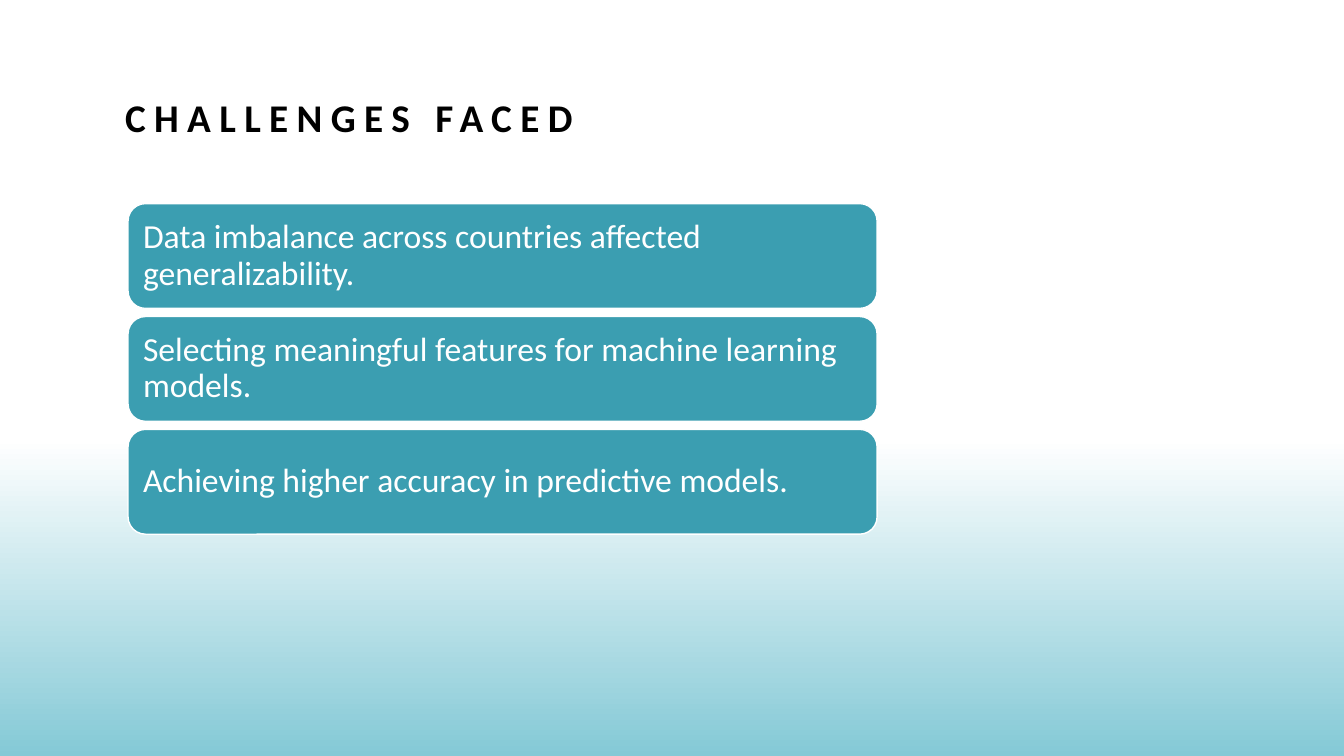
from pptx import Presentation
from pptx.dml.color import RGBColor
from pptx.enum.shapes import MSO_SHAPE
from pptx.enum.text import MSO_ANCHOR, MSO_AUTO_SIZE, PP_ALIGN
from pptx.util import Inches, Pt

RECTANGLE = MSO_SHAPE.RECTANGLE
ROUNDED = MSO_SHAPE.ROUNDED_RECTANGLE
MIDDLE, BOTTOM = MSO_ANCHOR.MIDDLE, MSO_ANCHOR.BOTTOM
LEFT = PP_ALIGN.LEFT
NO_AUTOFIT = MSO_AUTO_SIZE.NONE

BLACK = RGBColor(0x00, 0x00, 0x00)
WHITE = RGBColor(0xFF, 0xFF, 0xFF)
TEAL = RGBColor(0x3B, 0x9E, 0xB1)
LIGHT_TEAL = RGBColor(0x84, 0xC9, 0xD6)

CHALLENGES = [
    "Data imbalance across countries affected generalizability.",
    "Selecting meaningful features for machine learning models.",
    "Achieving higher accuracy in predictive models.",
]
CARD_TOP, CARD_PITCH = 2.02, 1.12


class SlideBuilder:
    font_name = "Calibri"

    def __init__(self, slide):
        self.slide = slide

    def add_text(self, shape, text, size, color, anchor, line_spacing, bold=False):
        frame = shape.text_frame
        frame.word_wrap = True
        frame.auto_size = NO_AUTOFIT
        frame.vertical_anchor = anchor
        paragraph = frame.paragraphs[0]
        paragraph.alignment = LEFT
        paragraph.line_spacing = line_spacing
        run = paragraph.add_run()
        run.text = text
        run.font.name = self.font_name
        run.font.size = Pt(size)
        run.font.bold = bold
        run.font.color.rgb = color
        return run

    def add_shape(self, kind, left, top, width, height):
        shape = self.slide.shapes.add_shape(
            kind, Inches(left), Inches(top), Inches(width), Inches(height))
        shape.shadow.inherit = False
        return shape

    def add_fade(self, left, top, width, height):
        band = self.add_shape(RECTANGLE, left, top, width, height)
        band.line.fill.background()
        band.fill.gradient()
        band.fill.gradient_angle = 270
        stops = band.fill.gradient_stops
        for stop, color, position in zip(stops, (WHITE, LIGHT_TEAL), (0.14, 1)):
            stop.color.rgb = color
            stop.position = position

    def add_title(self, text, left, top, width, height):
        title = self.slide.shapes.title
        title.left, title.top = Inches(left), Inches(top)
        title.width, title.height = Inches(width), Inches(height)
        run = self.add_text(title, text, 28, BLACK, BOTTOM, 1.2, bold=True)
        # Letter spacing of 6 points
        run.font._element.set("spc", "600")

    def add_card(self, text, left, top, width, height):
        card = self.add_shape(ROUNDED, left, top, width, height)
        card.fill.solid()
        card.fill.fore_color.rgb = TEAL
        card.line.color.rgb = WHITE
        card.line.width = Pt(1)
        frame = card.text_frame
        frame.margin_left = frame.margin_right = Inches(0.1)
        frame.margin_top = frame.margin_bottom = Inches(0.1)
        self.add_text(card, text, 24, WHITE, MIDDLE, 0.9)


def main():
    presentation = Presentation()
    presentation.slide_width = Inches(13.33)
    presentation.slide_height = Inches(7.5)
    title_only = presentation.slide_layouts[5]
    builder = SlideBuilder(presentation.slides.add_slide(title_only))

    # Background fade
    builder.add_fade(0, 3.84, 13.33, 3.66)

    # Title
    builder.add_title("CHALLENGES FACED", 1.14, 0.36, 10.62, 1.08)

    # Challenge cards
    for index, challenge in enumerate(CHALLENGES):
        builder.add_card(challenge, 1.27, CARD_TOP + index * CARD_PITCH, 7.43, 1.04)

    presentation.save("out.pptx")


if __name__ == "__main__":
    main()
